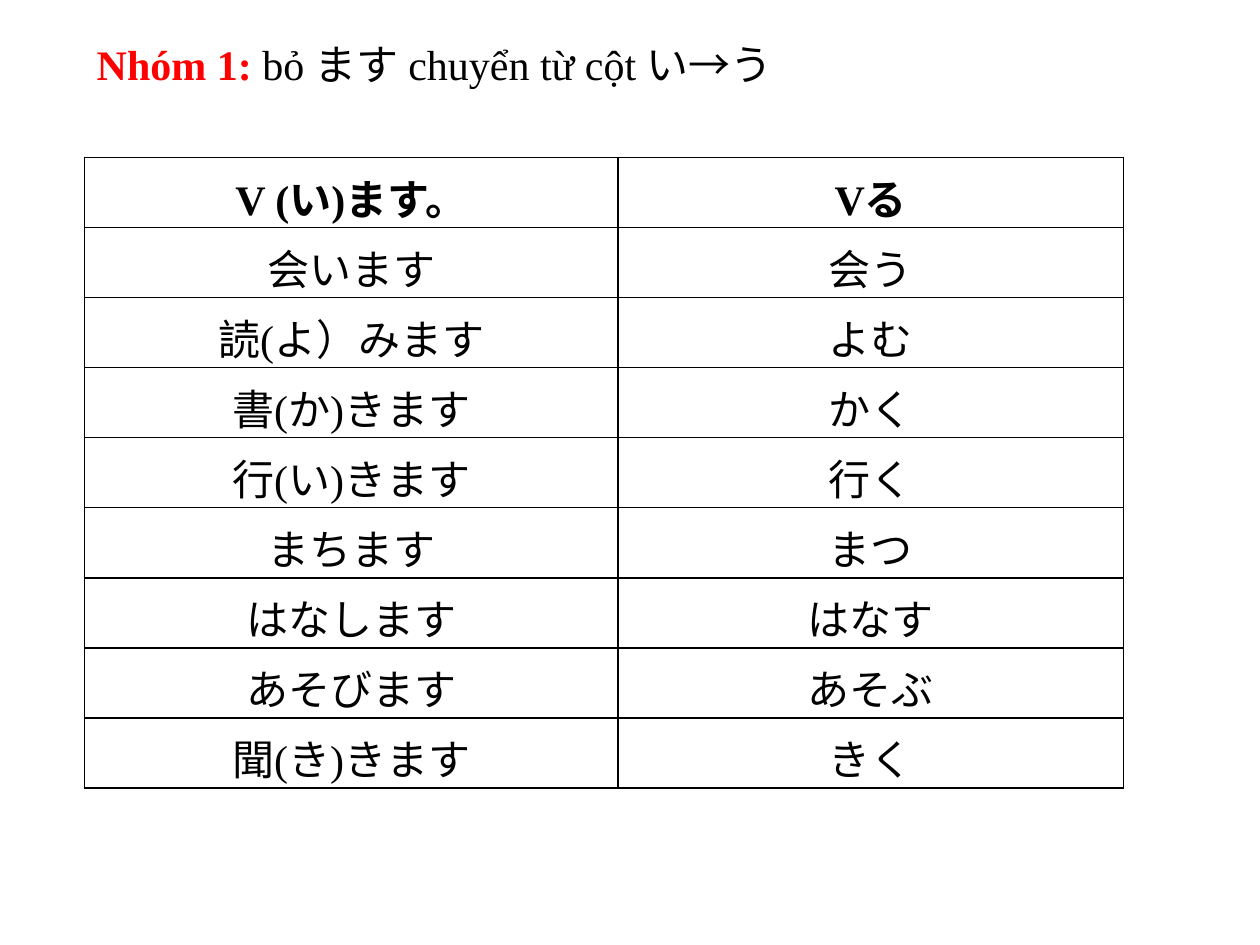
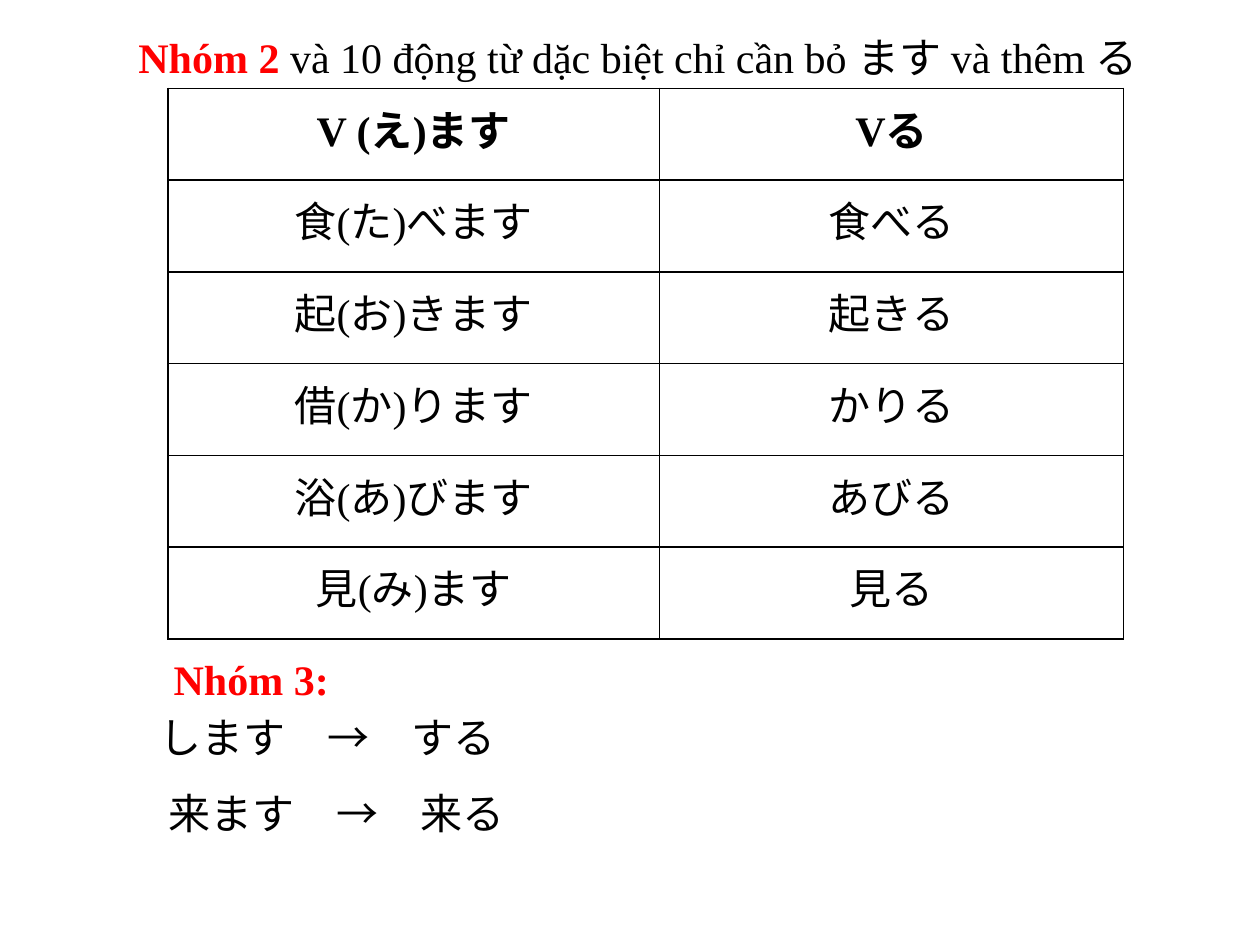
from lxml import etree
from pptx import Presentation
from pptx import util as u
from pptx.dml import color as col
from pptx.enum import text as tx
from pptx.oxml import ns

BLACK = col.RGBColor(0, 0, 0)
RED = col.RGBColor(255, 0, 0)
WHITE = col.RGBColor(255, 255, 255)
LATIN, KANA = "Times New Roman", "Noto Sans CJK JP"

PLAIN = {"name": LATIN, "size": u.Pt(24), "bold": False}
BOLD = {**PLAIN, "bold": True}
SOUND = {**PLAIN, "name": KANA}
LEFT = {"line_spacing": 1.15, "alignment": tx.PP_ALIGN.LEFT}
MID = {"line_spacing": 1.15, "alignment": tx.PP_ALIGN.CENTER}
AFTER = {"space_after": u.Pt(10)}
CELL = {"margin_left": u.Cm(0.18), "margin_right": u.Cm(0.18),
        "margin_top": 0, "margin_bottom": 0}

GROUP1 = [("V (い)ます。", "Vる"), ("会います", "会う"), ("読(|よ|）みます", "よむ"),
          ("書(|か|)きます", "かく"), ("行(|い|)きます", "行く"), ("まちます", "まつ"),
          ("はなします", "はなす"), ("あそびます", "あそぶ"), ("聞(|き|)きます", "きく")]
GROUP2 = [("V (え)ます", "Vる"), ("食(|た|)べます", "食べる"), ("起(|お|)きます", "起きる"),
          ("借(|か|)ります", "かりる"), ("浴(|あ|)びます", "あびる"), ("見(|み|)ます", "見る")]
GROUP3 = [("します\u3000→\u3000する", 0.38), ("来ます\u3000→\u3000来る", 0.56)]


def apply(item, form):
    """Set every attribute in a format dict."""
    for key, value in form.items():
        setattr(item, key, value)


def add_run(par, words, form=PLAIN, ink=BLACK):
    """Add one run with its Latin and East Asian fonts."""
    run = par.add_run()
    run.text = words
    apply(run.font, form)
    run.font.color.rgb = ink
    east = etree.SubElement(run.font._element, ns.qn("a:ea"))
    east.set("typeface", KANA)


def add_text(slide, box, anchor=tx.MSO_ANCHOR.TOP):
    """Add a wrapping text box and return its frame."""
    frame = slide.shapes.add_textbox(*map(u.Cm, box)).text_frame
    apply(frame, {"word_wrap": True, "vertical_anchor": anchor,
                  "auto_size": tx.MSO_AUTO_SIZE.NONE})
    return frame


def add_title(slide, box, label, rule, anchor=tx.MSO_ANCHOR.TOP, space=1.15):
    """Write a red group label followed by its rule."""
    par = add_text(slide, box, anchor).paragraphs[0]
    apply(par, {**LEFT, "line_spacing": space})
    add_run(par, label, BOLD, RED)
    add_run(par, rule)


def add_edge(cell):
    """Draw a thin black line on all sides of a cell."""
    props = cell._tc.get_or_add_tcPr()
    for spot, side in enumerate("LRTB"):
        line = etree.Element(ns.qn(f"a:ln{side}"), w=str(u.Pt(1)))
        fill = etree.SubElement(line, ns.qn("a:solidFill"))
        etree.SubElement(fill, ns.qn("a:srgbClr"), val=str(BLACK))
        props.insert(spot, line)


def add_grid(slide, box, first, verbs):
    """Fill a two-column verb table whose left column is given."""
    grid = slide.shapes.add_table(len(verbs), 2, *map(u.Cm, box)).table
    apply(grid, {"first_row": False, "horz_banding": False})
    for part, wide in zip(grid.columns, (first, box[2] - first)):
        part.width = u.Cm(wide)
    for r, pair in enumerate(verbs):
        for c, words in enumerate(pair):
            cell = grid.cell(r, c)
            apply(cell, CELL)
            cell.fill.solid()
            cell.fill.fore_color.rgb = WHITE
            add_edge(cell)
            par = cell.text_frame.paragraphs[0]
            apply(par, {**MID, **AFTER} if c else MID)
            for n, bit in enumerate(words.split("|")):
                add_run(par, bit, BOLD if r == 0 else SOUND if n % 2 else PLAIN)


def add_odd(slide, box):
    """List the irregular verbs below their label."""
    frame = add_text(slide, box)
    head = frame.paragraphs[0]
    apply(head, {**LEFT, "line_spacing": u.Pt(26.6)})
    head._p.get_or_add_pPr().set("marL", str(u.Cm(0.66)))
    add_run(head, "Nhóm 3:", BOLD, RED)
    for words, inset in GROUP3:
        par = frame.add_paragraph()
        apply(par, {**LEFT, **AFTER})
        par._p.get_or_add_pPr().set("marL", str(u.Cm(inset)))
        add_run(par, words)


def main():
    """Build and save both slides."""
    deck = Presentation()
    apply(deck, {"slide_width": u.Cm(25.4), "slide_height": u.Cm(19.05)})
    one, two = (deck.slides.add_slide(deck.slide_layouts[6]) for _ in range(2))
    add_grid(one, (1.7, 3.17, 20.95, 12.7), 10.76, GROUP1)
    add_title(one, (1.7, 0.64, 14.3, 1.27), "Nhóm 1: ",
              "bỏ ます chuyển từ cột い→う", tx.MSO_ANCHOR.MIDDLE, 1.0)
    add_title(two, (2.54, 0.36, 21.59, 1.32), "Nhóm 2 ",
              "và 10 động từ dặc biệt chỉ cần bỏ ます và thêm る")
    add_grid(two, (3.39, 1.78, 19.26, 11.1), 9.9, GROUP2)
    add_odd(two, (2.59, 13.13, 20.85, 3.94))
    deck.save("out.pptx")


if __name__ == "__main__":
    main()
